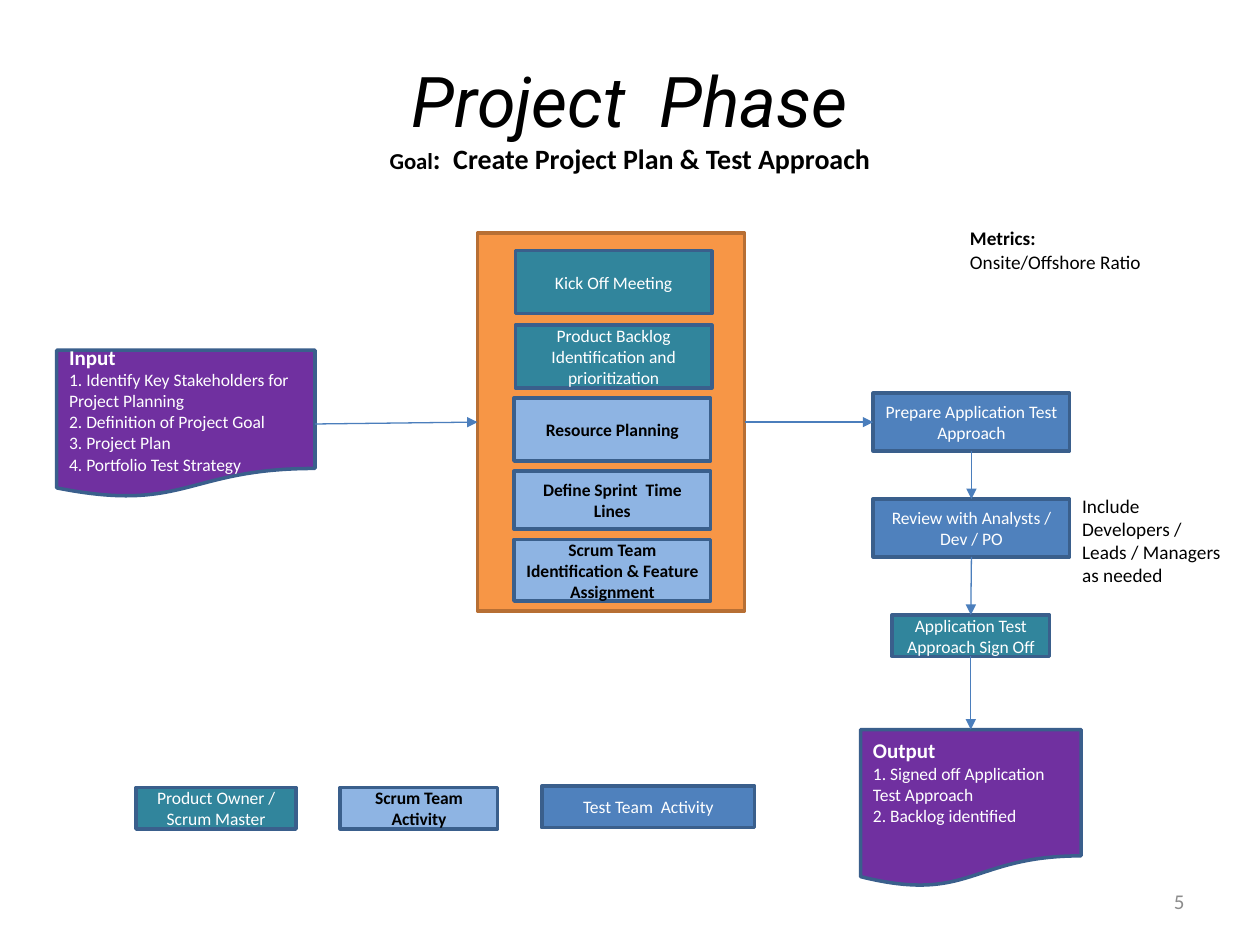
from pptx import Presentation
from pptx.dml.color import RGBColor
from pptx.enum.shapes import MSO_CONNECTOR, MSO_SHAPE
from pptx.enum.text import MSO_ANCHOR, MSO_AUTO_SIZE, PP_ALIGN
from pptx.oxml.ns import qn
from pptx.util import Inches, Pt
from lxml.etree import SubElement

COLORS = {
    "owner": "31859C", "scrum": "8EB4E3", "test": "4F81BD",
    "document": "7030A0", "panel": "F79646", "panel_line": "B76F34",
    "box_line": "3A5F8C", "arrow": "4B7EBC",
    "black": "000000", "white": "FFFFFF", "gray": "8C8C8C",
}
TOP, LEFT, BOTTOM, RIGHT = range(4)


def write(sp, lines, size, color, align=PP_ALIGN.LEFT, anchor=MSO_ANCHOR.MIDDLE):
    """Fill a shape with lines given as text, or as (text, size, bold)."""
    tf = sp.text_frame
    tf.word_wrap = True
    tf.vertical_anchor = anchor
    for i, line in enumerate(lines):
        text, pt, bold = (line, size, False) if isinstance(line, str) else line
        p = tf.add_paragraph() if i else tf.paragraphs[0]
        p.text = text
        p.alignment = align
        font = p.runs[0].font
        font.name, font.size, font.bold = "Calibri", Pt(pt), bold
        font.color.rgb = RGBColor.from_string(COLORS[color])


def add_box(shapes, kind, x, y, w, h, fill, line="box_line"):
    """Add a filled, outlined shape without shadow."""
    sp = shapes.add_shape(kind, Inches(x), Inches(y), Inches(w), Inches(h))
    sp.shadow.inherit = False
    sp.fill.solid()
    sp.fill.fore_color.rgb = RGBColor.from_string(COLORS[fill])
    sp.line.color.rgb = RGBColor.from_string(COLORS[line])
    sp.line.width = Pt(2)
    return sp


prs = Presentation()
prs.slide_width, prs.slide_height = Inches(10), Inches(7.5)
s = prs.slides.add_slide(prs.slide_layouts[5])

# Title
title = s.shapes.title
title.left, title.top, title.width, title.height = map(Inches, (0.5, 0.3, 9, 1.25))
tf = title.text_frame
tf.text = "Project  Phase\v"
tf.auto_size = MSO_AUTO_SIZE.NONE
tf.vertical_anchor = MSO_ANCHOR.MIDDLE
p = tf.paragraphs[0]
p.alignment = PP_ALIGN.CENTER
for text in ("Goal", ":  Create Project Plan & Test Approach"):
    p.add_run().text = text
title_styles = [("Roboto", 40, False), ("Calibri", 13, True), ("Calibri", 16, True)]
for r, (name, size, bold) in zip(p.runs, title_styles):
    r.font.name, r.font.size, r.font.bold = name, Pt(size), bold
    r.font.italic = not bold
    r.font.color.rgb = RGBColor.from_string(COLORS["black"])

# Input and output documents
documents = {}
for name, x, y, w, h, items in [
    ("Input", 0.45, 2.78, 2.05, 1.17, [
        "1. Identify Key Stakeholders for Project Planning",
        "2. Definition of Project Goal",
        "3. Project Plan",
        "4. Portfolio Test Strategy"]),
    ("Output", 6.83, 5.79, 1.75, 1.25, [
        "1. Signed off Application Test Approach",
        "2. Backlog identified"]),
]:
    sp = add_box(s.shapes, MSO_SHAPE.FLOWCHART_DOCUMENT, x, y, w, h, "document")
    write(sp, [(name, 12, True)] + items, 10, "white")
    documents[name] = sp
documents["Output"].text_frame.margin_bottom = Inches(0.22)

# Planning panel
group = s.shapes.add_group_shape()
panel = add_box(group.shapes, MSO_SHAPE.RECTANGLE, 3.79, 1.85, 2.12, 3, "panel", "panel_line")

# Activity boxes and legend
activities = [
    (group, "Kick Off Meeting", 4.09, 1.99, 1.56, 0.5, "owner"),
    (group, "Product Backlog Identification and prioritization", 4.09, 2.58, 1.56, 0.5, "owner"),
    (group, "Resource Planning", 4.08, 3.16, 1.56, 0.5, "scrum"),
    (group, "Define Sprint  Time Lines", 4.08, 3.74, 1.56, 0.46, "scrum"),
    (group, "Scrum Team Identification & Feature Assignment", 4.08, 4.28, 1.56, 0.49, "scrum"),
    (s, "Prepare Application Test Approach", 6.93, 3.12, 1.56, 0.46, "test"),
    (s, "Review with Analysts / Dev / PO", 6.93, 3.96, 1.56, 0.46, "test"),
    (s, "Application Test Approach Sign Off", 7.08, 4.88, 1.25, 0.33, "owner"),
    (s, "Product Owner / Scrum Master", 1.08, 6.25, 1.27, 0.33, "owner"),
    (s, "Scrum Team Activity", 2.7, 6.25, 1.25, 0.33, "scrum"),
    (s, "Test Team  Activity", 4.3, 6.24, 1.69, 0.33, "test"),
]
boxes = []
for parent, text, x, y, w, h, role in activities:
    sp = add_box(parent.shapes, MSO_SHAPE.RECTANGLE, x, y, w, h, role)
    is_scrum = role == "scrum"
    write(sp, [(text, 10, is_scrum)], 10, "black" if is_scrum else "white", PP_ALIGN.CENTER)
    boxes.append(sp)
prepare, review, sign_off = boxes[5:8]

# Arrows
for start, start_site, end, end_site in [
    (documents["Input"], RIGHT, panel, LEFT),
    (panel, RIGHT, prepare, LEFT),
    (prepare, BOTTOM, review, TOP),
    (review, BOTTOM, sign_off, TOP),
    (sign_off, BOTTOM, documents["Output"], TOP),
]:
    arrow = s.shapes.add_connector(MSO_CONNECTOR.STRAIGHT, 0, 0, 0, 0)
    arrow.begin_connect(start, start_site)
    arrow.end_connect(end, end_site)
    arrow.line.color.rgb = RGBColor.from_string(COLORS["arrow"])
    arrow.line.width = Pt(0.75)
    SubElement(arrow.line._get_or_add_ln(), qn("a:tailEnd"), type="triangle")
    SubElement(arrow._element.spPr, qn("a:effectLst"))

# Notes beside the flow and page number
for x, y, w, h, lines, size, color, align, anchor in [
    (8.49, 3.87, 1.43, 0.66, ["Include Developers / Leads / Managers as needed"],
     11, "black", PP_ALIGN.LEFT, MSO_ANCHOR.TOP),
    (7.6, 1.75, 1.76, 0.47, [("Metrics:", 11, True), "Onsite/Offshore Ratio"],
     11, "black", PP_ALIGN.LEFT, MSO_ANCHOR.TOP),
    (7.17, 6.95, 2.33, 0.4, ["5"], 12, "gray", PP_ALIGN.RIGHT, MSO_ANCHOR.MIDDLE),
]:
    sp = s.shapes.add_textbox(Inches(x), Inches(y), Inches(w), Inches(h))
    write(sp, lines, size, color, align, anchor)

prs.save("out.pptx")
